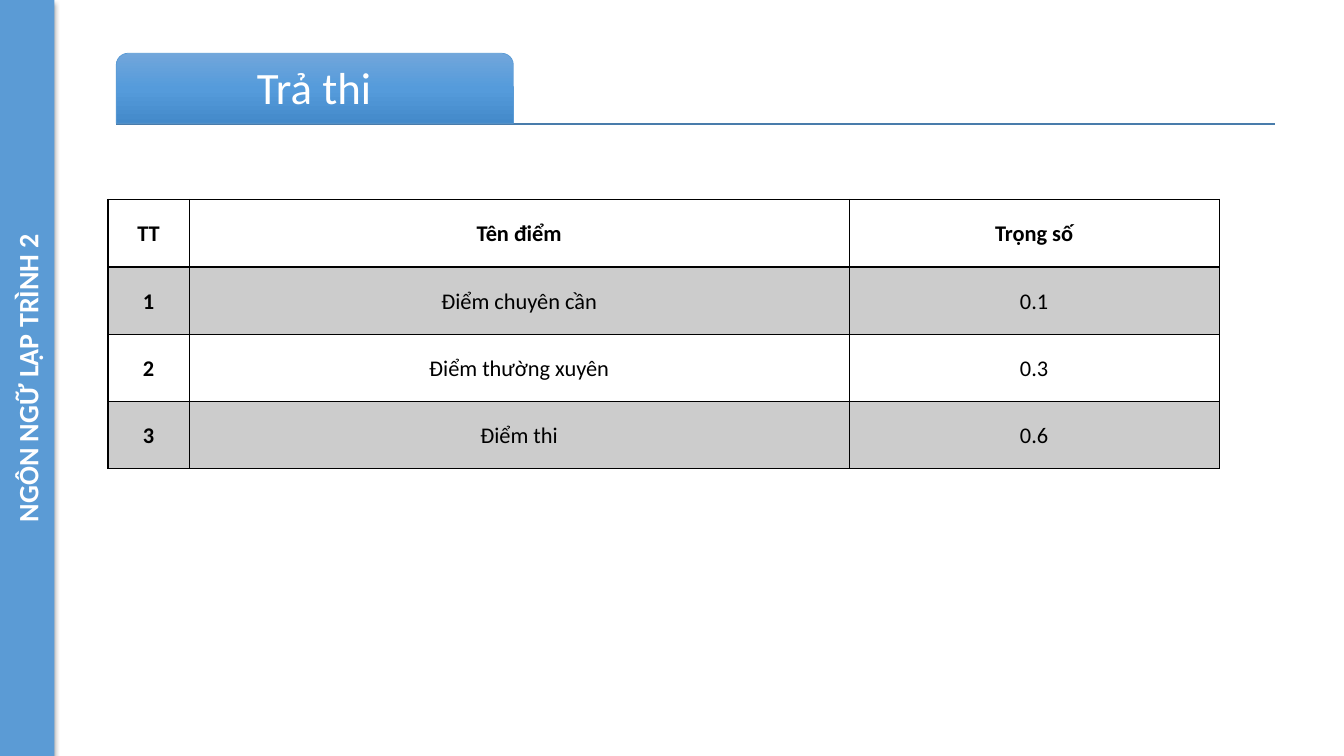
from dataclasses import dataclass

from lxml import etree
from pptx import Presentation
from pptx import util as u
from pptx.dml.color import RGBColor
from pptx.enum import shapes, text
from pptx.oxml import ns


@dataclass(frozen=True)
class Theme:
    font: str = "Calibri"
    blue: str = "5B9BD5"
    rule: str = "497CAB"
    tab: tuple = ("71A6DB", "559BDB", "448ACA")
    white: str = "FFFFFF"
    black: str = "000000"
    band: str = "CCCCCC"
    title_size: int = 32
    sidebar_size: int = 20
    table_size: int = 16


def add_xml(parent, tag, **attributes):
    values = {name: str(value) for name, value in attributes.items()}
    return etree.SubElement(parent, ns.qn(f"a:{tag}"), values)


def add_color(parent, color, **attributes):
    return add_xml(parent, "srgbClr", val=color, **attributes)


class SlideBuilder:
    """Places elements by percentages of the slide's width and height."""

    def __init__(self, presentation, theme):
        self.presentation = presentation
        self.theme = theme
        self.slide = presentation.slides.add_slide(presentation.slide_layouts[6])

    def x(self, share):
        return round(self.presentation.slide_width * share / 100)

    def y(self, share):
        return round(self.presentation.slide_height * share / 100)

    def box(self, left, top, width, height):
        return self.x(left), self.y(top), self.x(width), self.y(height)

    def set_text(self, text_frame, words, size, color, bold=False, spacing=1.0):
        text_frame.text = words
        text_frame.word_wrap = True
        paragraph = text_frame.paragraphs[0]
        paragraph.alignment = text.PP_ALIGN.CENTER
        paragraph.line_spacing = spacing
        font = paragraph.runs[0].font
        font.name, font.size, font.bold = self.theme.font, u.Pt(size), bold
        font.color.rgb = RGBColor.from_string(color)

    def shape(self, kind, place, color):
        shape = self.slide.shapes.add_shape(kind, *self.box(*place))
        shape.shadow.inherit = False
        shape.fill.solid()
        shape.fill.fore_color.rgb = RGBColor.from_string(color)
        shape.line.fill.background()
        return shape

    def sidebar(self, place, words):
        shape = self.shape(shapes.MSO_SHAPE.RECTANGLE, place, self.theme.blue)
        effects = shape._element.spPr.find(ns.qn("a:effectLst"))
        shadow = add_xml(effects, "outerShdw", blurRad=u.Pt(3.5), dist=u.Pt(2.2),
                         dir=5400000, rotWithShape=0)
        add_xml(add_color(shadow, self.theme.black), "alpha", val=32000)
        self.set_text(shape.text_frame, words, self.theme.sidebar_size,
                      self.theme.white, bold=True)
        shape.text_frame.vertical_anchor = text.MSO_ANCHOR.MIDDLE
        shape.text_frame._txBody.bodyPr.set("vert", "vert270")

    def rule(self, left, right, top):
        line = self.slide.shapes.add_connector(
            shapes.MSO_CONNECTOR.STRAIGHT,
            self.x(left), self.y(top), self.x(right), self.y(top))
        line.line.color.rgb = RGBColor.from_string(self.theme.rule)
        line.line.width = u.Pt(1)
        add_xml(line._element.spPr, "effectLst")

    def title_tab(self, place):
        shape = self.shape(shapes.MSO_SHAPE.ROUND_2_SAME_RECTANGLE, place,
                           self.theme.blue)
        shape.adjustments[0], shape.adjustments[1] = 0.167, 0
        shape.line.color.rgb = RGBColor.from_string(self.theme.blue)
        shape.line.width = u.Pt(0.5)
        solid = shape._element.spPr.find(ns.qn("a:solidFill"))
        gradient = etree.Element(ns.qn("a:gradFill"), rotWithShape="1")
        stops = add_xml(gradient, "gsLst")
        for index, color in enumerate(self.theme.tab):
            add_color(add_xml(stops, "gs", pos=index * 50000), color)
        add_xml(gradient, "lin", ang=5400000, scaled=0)
        solid.getparent().replace(solid, gradient)

    def title(self, place, words):
        frame = self.slide.shapes.add_textbox(*self.box(*place)).text_frame
        self.set_text(frame, words, self.theme.title_size, self.theme.white,
                      spacing=0.9)
        frame.vertical_anchor = text.MSO_ANCHOR.MIDDLE
        frame.margin_left = frame.margin_right = u.Inches(0.07)
        frame.margin_top = frame.margin_bottom = u.Inches(0.07)

    def borders(self, cell, top, bottom):
        properties = cell._tc.get_or_add_tcPr()
        widths = {"lnL": 1, "lnR": 1, "lnT": top, "lnB": bottom}
        for index, (side, width) in enumerate(widths.items()):
            line = add_xml(properties, side, w=u.Pt(width))
            add_color(add_xml(line, "solidFill"), self.theme.black)
            properties.insert(index, line)

    def table(self, left, top, column_widths, row_height, rows):
        place = left, top, sum(column_widths), row_height * len(rows)
        table = self.slide.shapes.add_table(
            len(rows), len(column_widths), *self.box(*place)).table
        for column, width in zip(table.columns, column_widths):
            column.width = self.x(width)
        for r, values in enumerate(rows):
            table.rows[r].height = self.y(row_height)
            for c, words in enumerate(values):
                cell = table.cell(r, c)
                self.set_text(cell.text_frame, words, self.theme.table_size,
                              self.theme.black, bold=r == 0 or c == 0, spacing=1.07)
                cell.vertical_anchor = text.MSO_ANCHOR.MIDDLE
                cell.margin_left = cell.margin_right = u.Inches(0.07)
                cell.margin_top = cell.margin_bottom = 0
                cell.fill.solid()
                color = self.theme.band if r % 2 else self.theme.white
                cell.fill.fore_color.rgb = RGBColor.from_string(color)
                # The line below the header is twice as thick
                self.borders(cell, top=2 if r == 1 else 1, bottom=2 if r == 0 else 1)


presentation = Presentation()
presentation.slide_width = u.Inches(13.33)
presentation.slide_height = u.Inches(7.5)
builder = SlideBuilder(presentation, Theme())

# Course name along the left edge
builder.sidebar((0, 0, 4.05, 100), "NGÔN NGỮ LẠP TRÌNH 2")

# Score weights
builder.table(8.03, 26.4, (6.05, 49.1, 27.53), 8.9, [
    ("TT", "Tên điểm", "Trọng số"),
    ("1", "Điểm chuyên cần", "0.1"),
    ("2", "Điểm thường xuyên", "0.3"),
    ("3", "Điểm thi", "0.6"),
])

# Title tab on its rule
builder.rule(8.65, 94.9, 16.4)
builder.title_tab((8.65, 7.05, 29.55, 9.25))
builder.title((8.85, 7.45, 29.05, 8.8), "Trả thi")

presentation.save("out.pptx")
